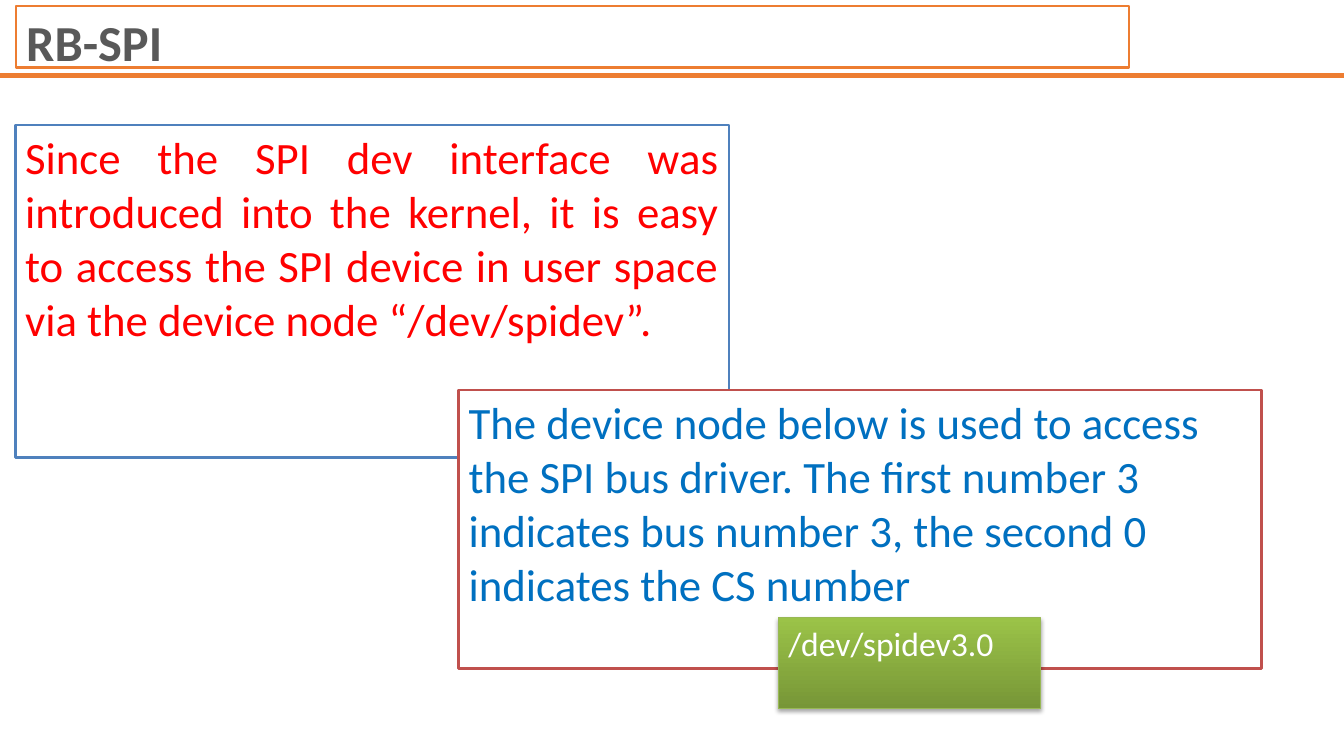
import pptx
import pptx.dml.color
import pptx.enum.shapes
import pptx.enum.text
import pptx.oxml
import pptx.oxml.ns
import pptx.util

RGBColor = pptx.dml.color.RGBColor
Inches = pptx.util.Inches
Pt = pptx.util.Pt
PP_ALIGN = pptx.enum.text.PP_ALIGN

ORANGE = RGBColor(0xED, 0x7D, 0x31)
GREY = RGBColor(0x59, 0x59, 0x59)
WHITE = RGBColor(0xFF, 0xFF, 0xFF)
BLUE_EDGE = RGBColor(0x4F, 0x81, 0xBD)
RED_EDGE = RGBColor(0xC0, 0x50, 0x4D)
GREEN_EDGE = RGBColor(0x98, 0xB8, 0x55)
GREEN_DARK = RGBColor(0x77, 0x96, 0x37)
GREEN_LIGHT = RGBColor(0x9B, 0xC3, 0x48)
RED = RGBColor(0xFF, 0x00, 0x00)
BLUE = RGBColor(0x00, 0x70, 0xC0)

WIDTH, HEIGHT = 13.33, 7.5
NS = pptx.oxml.ns.nsdecls("a")
NO_EFFECTS = f"<a:effectLst {NS}/>"
SOFT_SHADOW = f"""<a:effectLst {NS}>
<a:outerShdw blurRad="{Pt(3.1)}" dist="{Pt(1.8)}" dir="5400000" rotWithShape="0">
<a:srgbClr val="000000"><a:alpha val="35000"/></a:srgbClr>
</a:outerShdw></a:effectLst>"""


def write(sp, text, size, color, bold=False, align=PP_ALIGN.LEFT):
    tf = sp.text_frame
    tf.word_wrap = True
    tf.auto_size = pptx.enum.text.MSO_AUTO_SIZE.NONE
    tf.vertical_anchor = pptx.enum.text.MSO_ANCHOR.TOP
    p = tf.paragraphs[0]
    p.alignment = align
    r = p.add_run()
    r.text = text
    r.font.name = "Calibri"
    r.font.size = Pt(size)
    r.font.bold = bold
    r.font.color.rgb = color


def outline(sp, color, width):
    sp.line.color.rgb = color
    sp.line.width = Pt(width)


def add_header(slide, box, text):
    """Framed title with a rule across the slide just below it."""
    left, top, width, height = box
    y = Inches(top + height + 0.08)
    rule = slide.shapes.add_connector(
        pptx.enum.shapes.MSO_CONNECTOR.STRAIGHT, 0, y, Inches(WIDTH), y)
    outline(rule, ORANGE, 3)
    rule._element.spPr.append(pptx.oxml.parse_xml(NO_EFFECTS))

    title = slide.shapes.title
    title.left, title.top, title.width, title.height = map(Inches, box)
    outline(title, ORANGE, 1.5)
    write(title, text, 36, GREY, bold=True)


def add_box(slide, box, edge, edge_width=2):
    sp = slide.shapes.add_shape(
        pptx.enum.shapes.MSO_SHAPE.RECTANGLE, *map(Inches, box))
    sp.shadow.inherit = False
    sp.fill.solid()
    sp.fill.fore_color.rgb = WHITE
    outline(sp, edge, edge_width)
    return sp


def add_note(slide, box, text, edge, color, align=PP_ALIGN.LEFT):
    write(add_box(slide, box, edge), text, 32, color, align=align)


def add_node_label(slide, box, text):
    """Green gradient label with a soft shadow."""
    sp = add_box(slide, box, GREEN_EDGE, 0.75)
    sp.fill.gradient()
    sp.fill.gradient_angle = 90
    for stop, color, position in zip(
            sp.fill.gradient_stops, (GREEN_DARK, GREEN_LIGHT), (0, 1)):
        stop.color.rgb = color
        stop.position = position
    spPr = sp._element.spPr
    spPr.replace(spPr.find(pptx.oxml.ns.qn("a:effectLst")),
                 pptx.oxml.parse_xml(SOFT_SHADOW))
    write(sp, text, 24, WHITE)


def main():
    prs = pptx.Presentation()
    prs.slide_width, prs.slide_height = Inches(WIDTH), Inches(HEIGHT)
    slide = prs.slides.add_slide(prs.slide_layouts.get_by_name("Title Only"))
    add_header(slide, (0.16, 0.06, 11.04, 0.61), "RB-SPI")
    add_note(slide, (0.15, 1.24, 7.08, 3.3),
             "Since the SPI dev interface was introduced into the kernel, "
             "it is easy to access the SPI device in user space via "
             "the device node “/dev/spidev”.",
             BLUE_EDGE, RED, align=PP_ALIGN.JUSTIFY)
    add_note(slide, (4.55, 3.87, 7.96, 2.76),
             "The device node below is used to access the SPI bus driver. "
             "The first number 3 indicates bus number 3, "
             "the second 0 indicates the CS number",
             RED_EDGE, BLUE)
    add_node_label(slide, (7.72, 6.13, 2.6, 0.9), "/dev/spidev3.0")
    prs.save("out.pptx")


if __name__ == "__main__":
    main()
